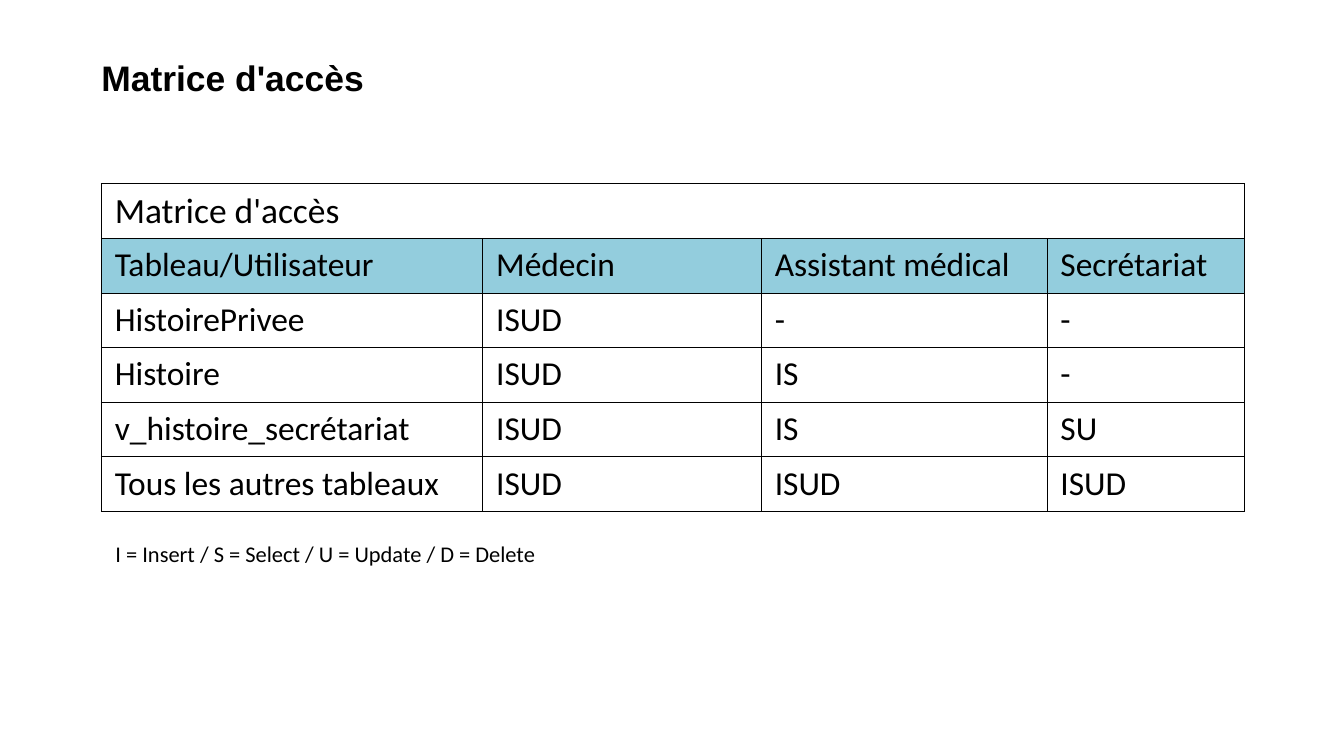
import pptx
import pptx.dml.color
import pptx.oxml
import pptx.oxml.ns
import pptx.util

W, H = 18.96, 10.67
LEFT, WIDTH = 1.43, 16.11
BLACK, HEADER = "000000", "93CDDD"
inch = pptx.util.Inches


def rgb(value):
    return pptx.dml.color.RGBColor.from_string(value)


def write(tf, text, size, font="Calibri", bold=False):
    tf.word_wrap = True
    r = tf.paragraphs[0].add_run()
    r.text = text
    r.font.name = font
    r.font.size = pptx.util.Pt(size)
    r.font.bold = bold
    r.font.color.rgb = rgb(BLACK)


prs = pptx.Presentation()
prs.slide_width, prs.slide_height = inch(W), inch(H)
s = prs.slides.add_slide(prs.slide_layouts[6])

# Title
tf = s.shapes.add_textbox(inch(LEFT), inch(0.79), inch(WIDTH), inch(0.63)).text_frame
tf.margin_left = tf.margin_right = tf.margin_top = tf.margin_bottom = 0
write(tf, "Matrice d'accès", 36, "Arial", True)

# Access matrix
rows = [
    ["Matrice d'accès", "", "", ""],
    ["Tableau/Utilisateur", "Médecin", "Assistant médical", "Secrétariat"],
    ["HistoirePrivee", "ISUD", "-", "-"],
    ["Histoire", "ISUD", "IS", "-"],
    ["v_histoire_secrétariat", "ISUD", "IS", "SU"],
    ["Tous les autres tableaux", "ISUD", "ISUD", "ISUD"],
]
col_widths = [5.38, 3.93, 4.03, 2.78]
row_height = 0.77
table = s.shapes.add_table(len(rows), len(col_widths), inch(LEFT), inch(2.59),
                           inch(WIDTH), inch(row_height * len(rows))).table
table.first_row = table.horz_banding = False
for col, width in zip(table.columns, col_widths):
    col.width = inch(width)
for row in table.rows:
    row.height = inch(row_height)
table.cell(0, 0).merge(table.cell(0, len(col_widths) - 1))

for i, texts in enumerate(rows):
    for j, text in enumerate(texts):
        cell = table.cell(i, j)
        cell.margin_left = cell.margin_right = inch(0.19)
        cell.margin_top = cell.margin_bottom = inch(0.09)
        # Thin black border on all four sides
        for side in ("lnL", "lnR", "lnT", "lnB"):
            cell._tc.get_or_add_tcPr().append(pptx.oxml.parse_xml(
                f'<a:{side} {pptx.oxml.ns.nsdecls("a")} w="12700"><a:solidFill>'
                f'<a:srgbClr val="{BLACK}"/></a:solidFill></a:{side}>'))
        if i == 1:
            cell.fill.solid()
            cell.fill.fore_color.rgb = rgb(HEADER)
        else:
            cell.fill.background()
        if text:
            write(cell.text_frame, text, 36 if i == 0 else 34)

# Legend
tf = s.shapes.add_textbox(inch(1.53), inch(7.57), inch(16.61), inch(0.48)).text_frame
write(tf, "I = Insert / S = Select / U = Update / D = Delete", 22.8)

prs.save("out.pptx")
